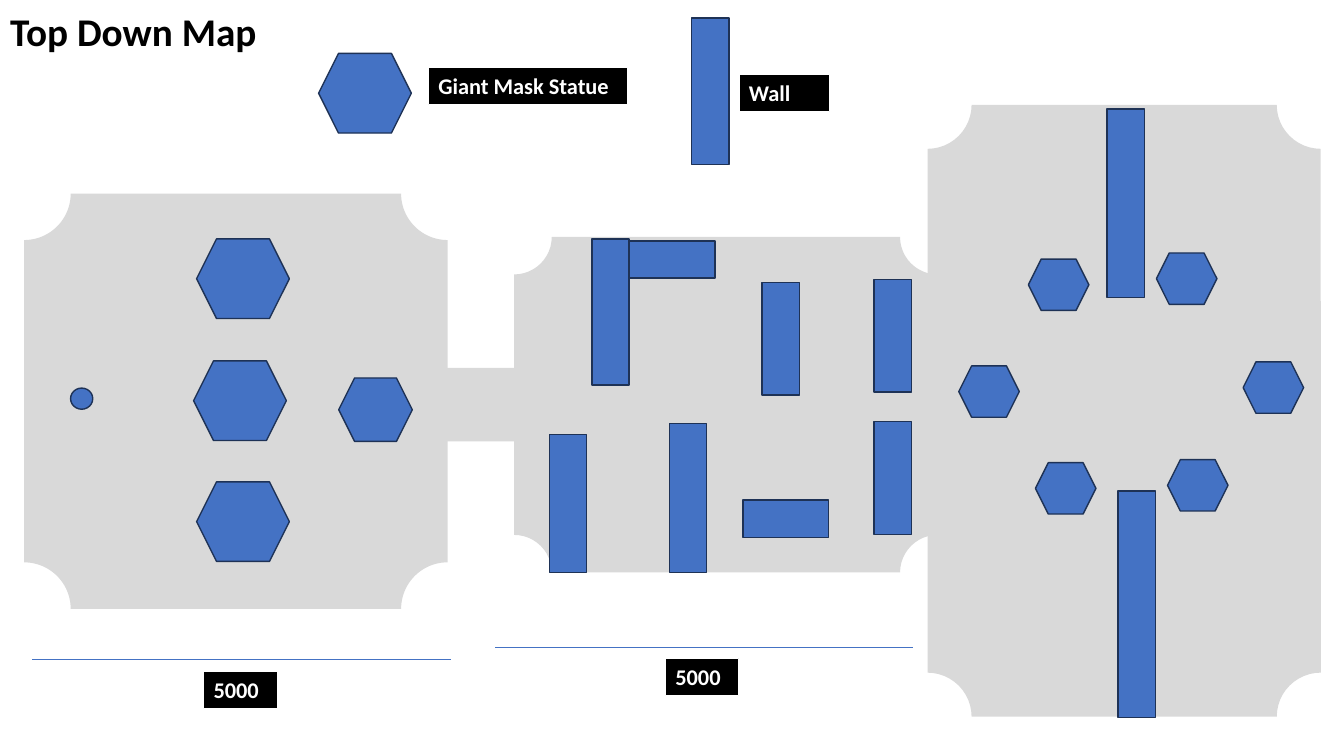
"""Build a slide with a top-down map of three joined rooms, their walls and statues."""
from lxml import etree
from pptx import Presentation
from pptx import util as u
from pptx.dml.color import RGBColor
from pptx.enum import shapes, text
from pptx.oxml.ns import qn

SLIDE = (13.33, 7.5)
FONT = "Calibri"
COLOURS = {"floor": "D9D9D9", "item": "4472C4", "edge": "1E3256",
           "black": "000000", "white": "FFFFFF"}
KIND = shapes.MSO_SHAPE

TITLE = ("Top Down Map", (0, 0.02, 4.64, 0.57))
ROOMS = [(0.24, 1.92, 4.2, 4.12), (5.1, 2.35, 4.2, 3.33), (9.2, 1.04, 3.9, 6.07)]
CORRIDOR = (4.25, 3.65, 1.04, 0.73)
ROOM_CORNER = 0.112

STATUES = {
    (0.92, 0.79): [(1.95, 2.37), (1.92, 3.58), (1.95, 4.78), (3.16, 0.53)],
    (0.73, 0.63): [(3.36, 3.75)],
    (0.6, 0.51): [(10.2, 2.57), (11.47, 2.51), (11.58, 4.56),
                  (10.27, 4.59), (12.33, 3.59), (9.51, 3.63)],
}
PLAYER = (0.7, 3.85, 0.22, 0.21)

WALL_WIDTH = 0.37
UPRIGHT_WALLS = {
    1.45: [(5.87, 2.37), (6.86, 0.18)],
    1.48: [(6.64, 4.2)],
    1.37: [(5.45, 4.31)],
    1.12: [(7.56, 2.8), (8.67, 2.77), (8.67, 4.18)],
    1.87: [(10.98, 1.08)],
    2.25: [(11.09, 4.87)],
}
TURNED_WALLS = {0.85: [(6.48, 2.15), (7.61, 4.72)]}

LABEL_HEIGHT = 0.37
LABELS = [("Giant Mask Statue", 4.25, 0.67, 1.97), ("Wall", 7.33, 0.74, 0.9),
          ("5000", 2.02, 6.66, 0.73), ("5000", 6.6, 6.53, 0.73)]
RULER_LENGTH = 4.15
RULERS = [(0.32, 6.54), (4.91, 6.42)]


def inches(*lengths):
    return [u.Inches(length) for length in lengths]


def colour(name):
    return RGBColor.from_string(COLOURS[name])


def add_block(parent, kind, place, fill, edge=None, weight=1):
    block = parent.add_shape(kind, *inches(*place))
    block.shadow.inherit = False
    block.fill.solid()
    block.fill.fore_color.rgb = colour(fill)
    if edge:
        block.line.color.rgb = colour(edge)
        block.line.width = u.Pt(weight)
    else:
        block.line.fill.background()
    return block


def write(box, words, size, ink):
    frame = box.text_frame
    frame.word_wrap = True
    frame.auto_size = text.MSO_AUTO_SIZE.SHAPE_TO_FIT_TEXT
    frame.vertical_anchor = text.MSO_ANCHOR.TOP
    para = frame.paragraphs[0]
    para.text = words
    para.alignment = text.PP_ALIGN.LEFT
    para.font.name, para.font.size, para.font.bold = FONT, u.Pt(size), True
    para.font.color.rgb = colour(ink)


def add_title(page):
    words, place = TITLE
    title = page.shapes.title
    title.left, title.top, title.width, title.height = inches(*place)
    write(title, words, 28, "black")


def add_floor(page):
    floor = page.shapes.add_group_shape().shapes
    add_block(floor, KIND.RECTANGLE, CORRIDOR, "floor")
    for place in ROOMS:
        room = add_block(floor, KIND.PLAQUE, place, "floor")
        room.adjustments[0] = ROOM_CORNER


def add_items(page):
    for size, corners in STATUES.items():
        for corner in corners:
            add_block(page.shapes, KIND.HEXAGON, corner + size, "item", "edge")
    add_block(page.shapes, KIND.OVAL, PLAYER, "item", "edge")
    for turn, walls in ((270, TURNED_WALLS), (0, UPRIGHT_WALLS)):
        for length, corners in walls.items():
            for corner in corners:
                place = corner + (WALL_WIDTH, length)
                wall = add_block(page.shapes, KIND.RECTANGLE, place, "item", "edge")
                wall.rotation = turn


def add_rulers(page):
    for left, top in RULERS:
        ruler = page.shapes.add_connector(
            shapes.MSO_CONNECTOR.STRAIGHT, *inches(left, top, left + RULER_LENGTH, top))
        ruler.line.color.rgb = colour("item")
        ruler.line.width = u.Pt(0.5)
        etree.SubElement(ruler._element.spPr, qn("a:effectLst"))


def add_labels(page):
    for words, left, top, width in LABELS:
        place = (left, top, width, LABEL_HEIGHT)
        label = add_block(page.shapes, KIND.RECTANGLE, place, "black", "white", 0.75)
        write(label, words, 16, "white")


def main():
    deck = Presentation()
    deck.slide_width, deck.slide_height = inches(*SLIDE)
    page = deck.slides.add_slide(deck.slide_layouts.get_by_name("Title Only"))
    for add_part in (add_title, add_floor, add_items, add_rulers, add_labels):
        add_part(page)
    deck.save("out.pptx")


if __name__ == "__main__":
    main()
